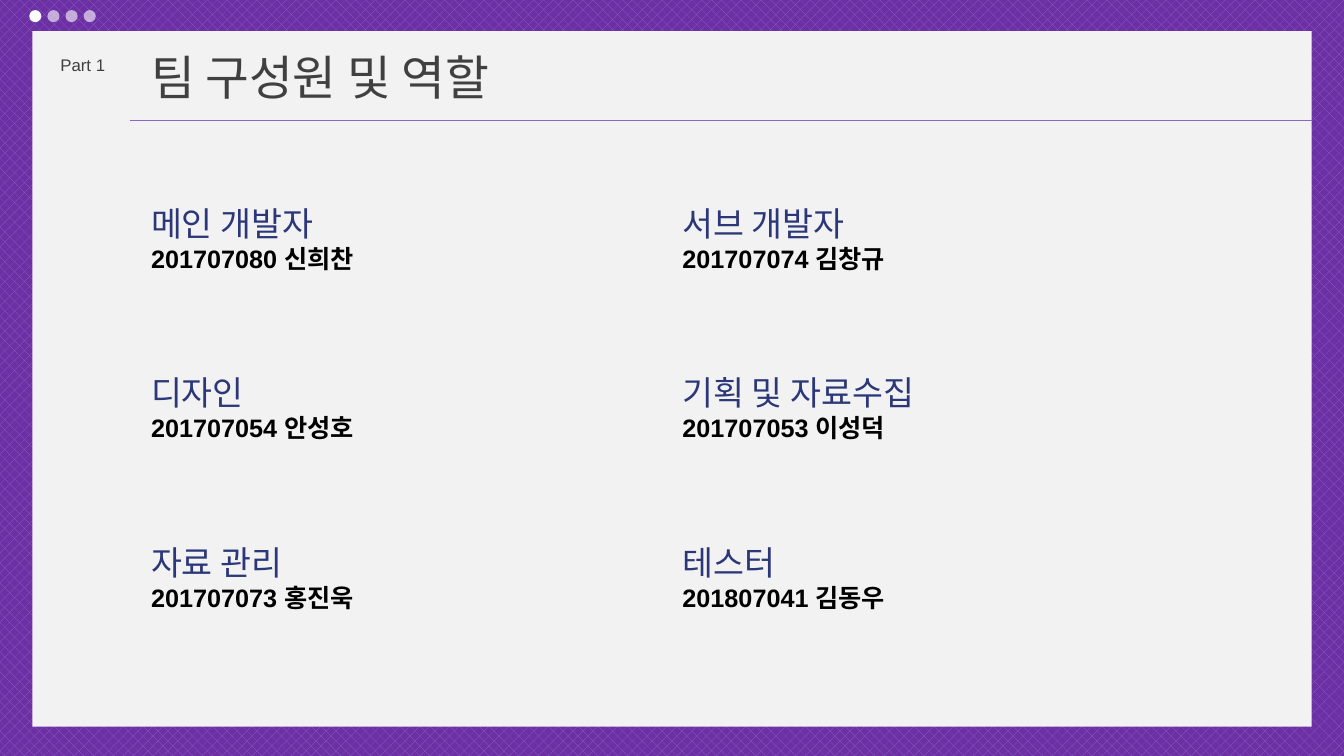
from dataclasses import dataclass

from lxml import etree
from pptx import Presentation
from pptx.dml.color import RGBColor
from pptx.enum.dml import MSO_PATTERN
from pptx.enum.shapes import MSO_CONNECTOR, MSO_SHAPE
from pptx.enum.text import MSO_AUTO_SIZE
from pptx.oxml.ns import qn
from pptx.util import Inches, Pt

RECT, OVAL = MSO_SHAPE.RECTANGLE, MSO_SHAPE.OVAL
STRAIGHT = MSO_CONNECTOR.STRAIGHT
PERCENT_30 = MSO_PATTERN.PERCENT_30
FIT_SHAPE = MSO_AUTO_SIZE.SHAPE_TO_FIT_TEXT

FONT = "Arial"
COLORS = {
    "purple": "6C2FA4",
    "lilac": "8C66C8",
    "panel": "F2F2F2",
    "white": "FFFFFF",
    "heading": "404040",
    "role": "2B3778",
    "member": "000000",
}


@dataclass
class Line:
    text: str
    size: int
    color: str
    bold: bool = False


@dataclass
class Member:
    role: str
    name: str


MEMBERS = [
    Member("메인 개발자", "201707080 신희찬"),
    Member("서브 개발자", "201707074 김창규"),
    Member("디자인", "201707054 안성호"),
    Member("기획 및 자료수집", "201707053 이성덕"),
    Member("자료 관리", "201707073 홍진욱"),
    Member("테스터", "201807041 김동우"),
]
COLUMNS = 2
LEFT, TOP = 1.4, 1.96
COLUMN_STEP, ROW_STEP = 5.27, 1.685

DOT_COUNT = 4
DOT_SIZE, DOT_STEP = 0.12, 0.18


def rgb(name: str) -> RGBColor:
    return RGBColor.from_string(COLORS[name])


def add_filled(slide, kind, x: float, y: float, w: float, h: float,
               color: str, opacity: int = 100) -> None:
    sp = slide.shapes.add_shape(kind, Inches(x), Inches(y), Inches(w), Inches(h))
    sp.shadow.inherit = False
    sp.fill.solid()
    sp.fill.fore_color.rgb = rgb(color)
    sp.line.fill.background()
    if opacity < 100:
        clr = sp.fill._xPr.find(qn("a:solidFill"))[0]
        etree.SubElement(clr, qn("a:alpha"), val=str(opacity * 1000))


def add_text(slide, x: float, y: float, w: float, h: float,
             lines: list[Line], wrap: bool = False) -> None:
    sp = slide.shapes.add_textbox(Inches(x), Inches(y), Inches(w), Inches(h))
    tf = sp.text_frame
    tf.word_wrap = wrap
    tf.auto_size = FIT_SHAPE
    for i, line in enumerate(lines):
        p = tf.add_paragraph() if i else tf.paragraphs[0]
        r = p.add_run()
        r.text = line.text
        r.font.name = FONT
        r.font.size = Pt(line.size)
        r.font.bold = line.bold
        r.font.color.rgb = rgb(line.color)


def add_rule(slide, x1: float, x2: float, y: float) -> None:
    cn = slide.shapes.add_connector(
        STRAIGHT, Inches(x1), Inches(y), Inches(x2), Inches(y))
    cn.line.color.rgb = rgb("lilac")
    cn.line.width = Pt(0.5)
    etree.SubElement(cn._element.spPr, qn("a:effectLst"))


def main() -> None:
    prs = Presentation()
    prs.slide_width, prs.slide_height = Inches(13.33), Inches(7.5)
    slide = prs.slides.add_slide(prs.slide_layouts[6])

    # Patterned background and panel
    fill = slide.background.fill
    fill.patterned()
    fill.pattern = PERCENT_30
    fill.fore_color.rgb = rgb("lilac")
    fill.back_color.rgb = rgb("purple")
    add_filled(slide, RECT, 0.32, 0.31, 12.69, 6.9, "panel")

    # Heading
    add_rule(slide, 1.29, 13.01, 1.19)
    add_text(slide, LEFT, 0.43, 3.93, 0.67, [Line("팀 구성원 및 역할", 34, "heading")])
    add_text(slide, 0.5, 0.49, 0.65, 0.3, [Line("Part 1", 12, "heading")])

    # Progress dots, the first one is current
    for i in range(DOT_COUNT):
        add_filled(slide, OVAL, 0.29 + i * DOT_STEP, 0.1, DOT_SIZE, DOT_SIZE,
                   "white", 60 if i else 100)

    # Team members
    for i, member in enumerate(MEMBERS):
        row, col = divmod(i, COLUMNS)
        add_text(slide, LEFT + col * COLUMN_STEP, TOP + row * ROW_STEP, 4.31, 0.81,
                 [Line(member.role, 24, "role"),
                  Line(member.name, 18, "member", bold=True)], wrap=True)

    prs.save("out.pptx")


if __name__ == "__main__":
    main()
